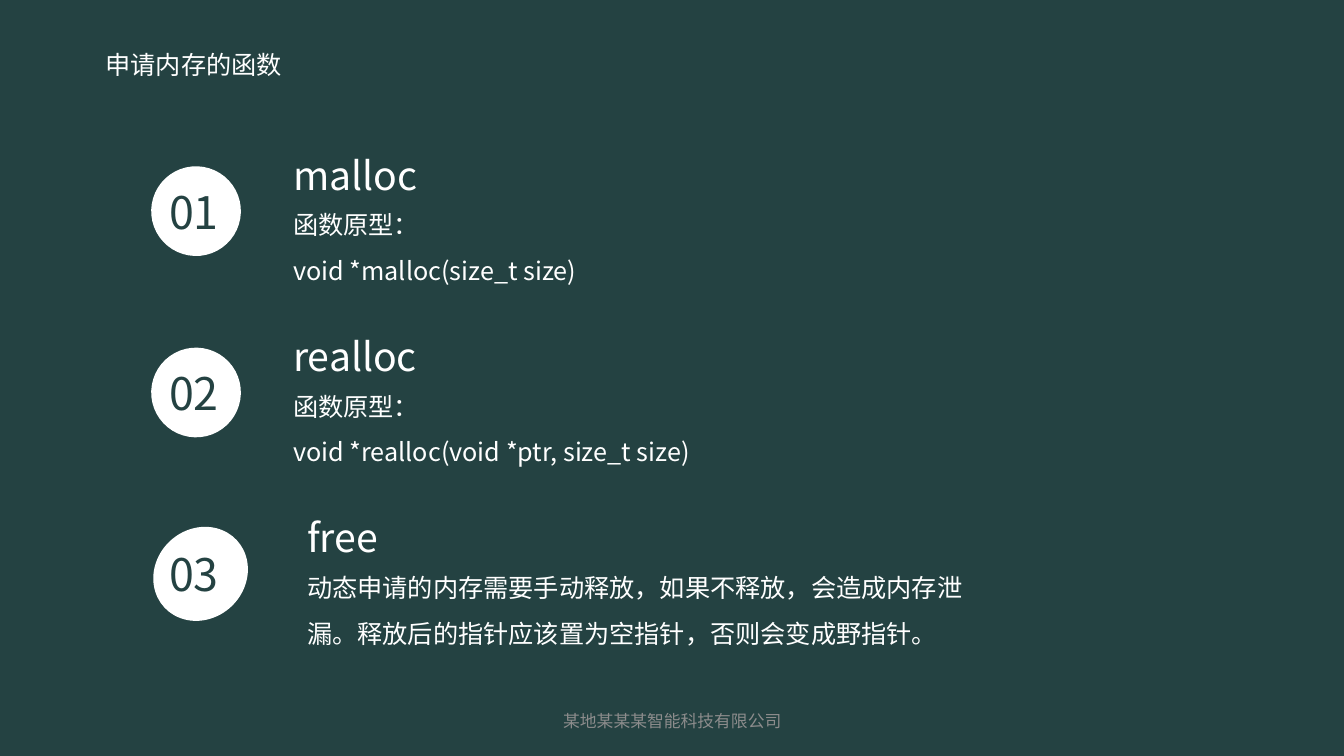
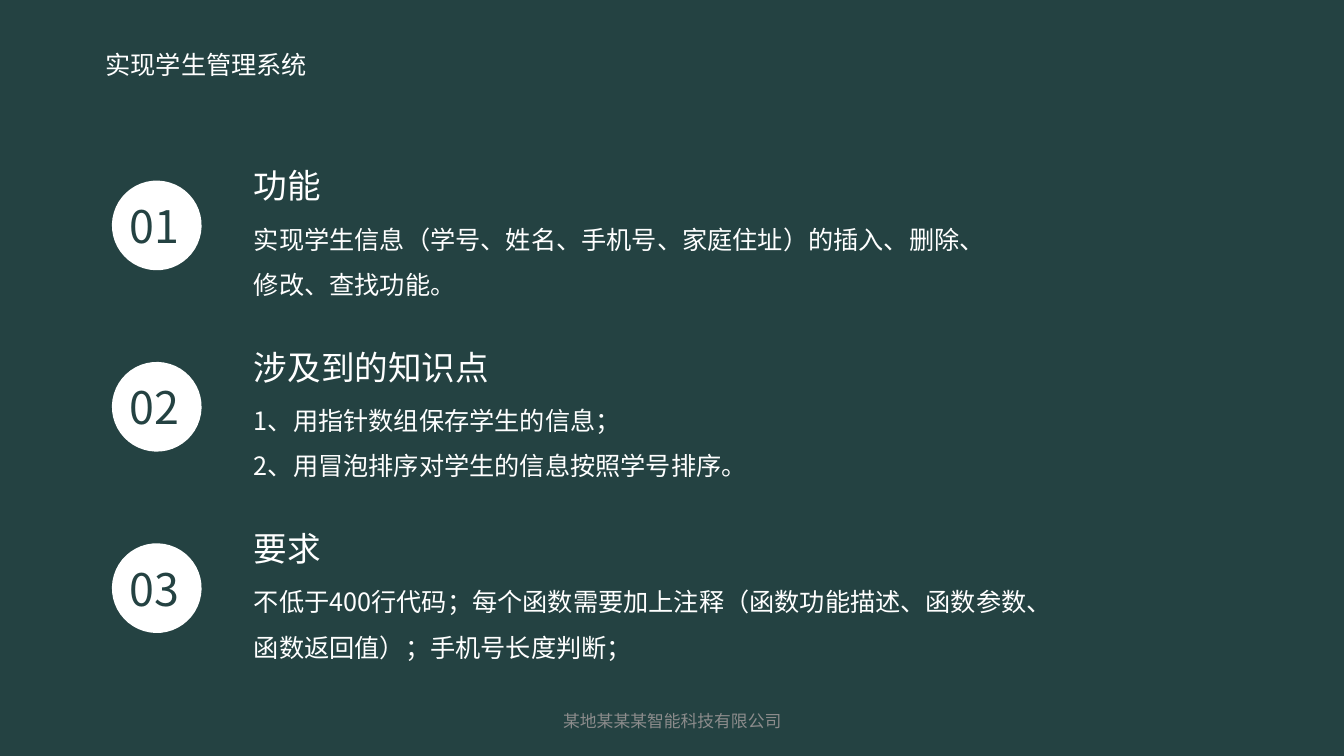
from dataclasses import dataclass

import pptx
import pptx.dml.color
import pptx.enum.shapes
import pptx.enum.text
import pptx.oxml
import pptx.oxml.ns
import pptx.util
from pptx.util import Cm

# Shared look
GREEN = pptx.dml.color.RGBColor(0x24, 0x42, 0x42)
WHITE = pptx.dml.color.RGBColor(0xFF, 0xFF, 0xFF)
GREY = pptx.dml.color.RGBColor(0x8C, 0x8C, 0x8C)
CJK_FONT = "Noto Sans CJK SC"
FOOTER_FONT = "Calibri"
FOOTER = "某地某某某智能科技有限公司"

# Shared grid, in centimetres
ROW_PITCH = 4.57
BADGE_SIZE = 2.26
BADGE_DROP = 0.51
NUMBER_DROP = 0.84
BODY_DROP = 1.1


@dataclass
class Item:
    heading: str
    lines: list
    body_width: float = 15.52
    indent: float = 3.33
    badge_width: float = BADGE_SIZE


def add_text(slide, left, top, width, height, lines, size, color=WHITE,
             font=CJK_FONT, spacing=None, alignment=None, wrap=True):
    box = slide.shapes.add_textbox(Cm(left), Cm(top), Cm(width), Cm(height))
    frame = box.text_frame
    frame.word_wrap = wrap
    frame.text = "\n".join(lines)
    for paragraph in frame.paragraphs:
        paragraph.line_spacing = spacing
        paragraph.alignment = alignment
        for run in paragraph.runs:
            run.font.size = pptx.util.Pt(size)
            run.font.name = font
            run.font.color.rgb = color
            # Chinese characters take the East Asian typeface
            east_asian = pptx.oxml.parse_xml(
                f'<a:ea {pptx.oxml.ns.nsdecls("a")} typeface="{CJK_FONT}"/>')
            run.font._element.find(pptx.oxml.ns.qn("a:latin")).addnext(east_asian)
    return frame


def add_badge(slide, left, top, width, number):
    circle = slide.shapes.add_shape(
        pptx.enum.shapes.MSO_SHAPE.OVAL,
        Cm(left), Cm(top + BADGE_DROP), Cm(width), Cm(BADGE_SIZE))
    circle.rotation = 136.9
    circle.shadow.inherit = False
    circle.fill.solid()
    circle.fill.fore_color.rgb = WHITE
    circle.line.fill.background()
    add_text(slide, left + 0.2, top + NUMBER_DROP, 1.85, 1.63,
             [f"{number:02d}"], 32, GREEN, wrap=False)


def add_item(slide, left, top, number, item, heading_size):
    text_left = left + item.indent
    add_badge(slide, left, top, item.badge_width, number)
    add_text(slide, text_left, top, 7.11, 1.45, [item.heading], heading_size)
    add_text(slide, text_left, top + BODY_DROP, item.body_width, 2.57,
             item.lines, 18, spacing=1.5)


def add_list_slide(presentation, title, left, top, heading_size, items):
    slide = presentation.slides.add_slide(presentation.slide_layouts[6])
    # Title and footer
    add_text(slide, 2.41, 1.12, 9.73, 1.02, [title], 18)
    footer = add_text(slide, 11.23, 17.65, 11.43, 1.02, [FOOTER], 12, GREY,
                      FOOTER_FONT, alignment=pptx.enum.text.PP_ALIGN.CENTER)
    footer.vertical_anchor = pptx.enum.text.MSO_ANCHOR.MIDDLE
    # Numbered rows
    for index, item in enumerate(items):
        add_item(slide, left, top + index * ROW_PITCH, index + 1, item,
                 heading_size)


def main():
    presentation = pptx.Presentation()
    presentation.slide_width = Cm(33.87)
    presentation.slide_height = Cm(19.05)
    background = presentation.slide_master.background.fill
    background.solid()
    background.fore_color.rgb = GREEN

    add_list_slide(presentation, "申请内存的函数", 3.81, 3.68, 28, [
        Item("malloc", ["函数原型：", "void *malloc(size_t size)"]),
        Item("realloc", ["函数原型：", "void *realloc(void *ptr, size_t size)"]),
        Item("free", ["动态申请的内存需要手动释放，如果不释放，会造成内存泄漏。"
                      "释放后的指针应该置为空指针，否则会变成野指针。"],
             body_width=17.15, indent=3.68, badge_width=2.49),
    ])
    add_list_slide(presentation, "实现学生管理系统", 2.82, 4.04, 24, [
        Item("功能", ["实现学生信息（学号、姓名、手机号、家庭住址）的插入、删除、"
                    "修改、查找功能。"], body_width=18.64),
        Item("涉及到的知识点", ["1、用指针数组保存学生的信息；",
                         "2、用冒泡排序对学生的信息按照学号排序。"]),
        Item("要求", ["不低于400行代码；每个函数需要加上注释（函数功能描述、"
                    "函数参数、函数返回值）；手机号长度判断；"], body_width=20.24),
    ])
    presentation.save("out.pptx")


if __name__ == "__main__":
    main()
